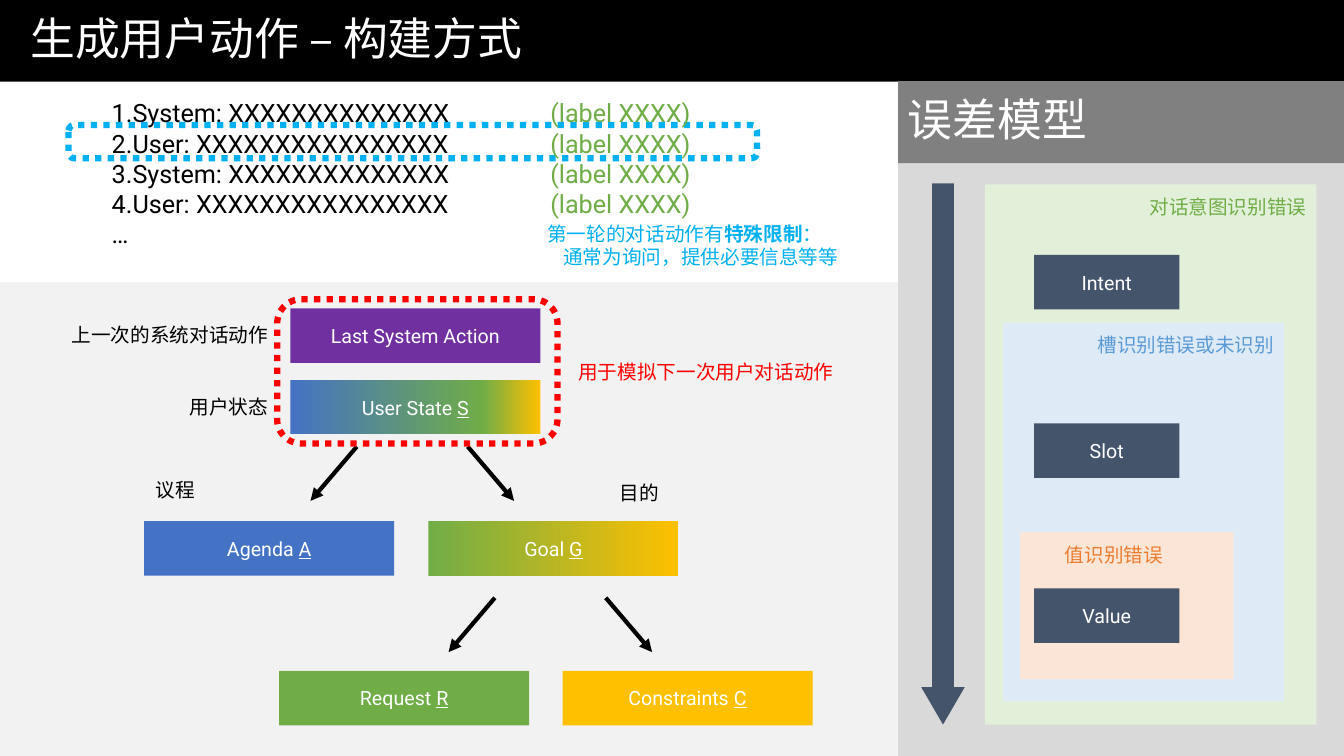
from dataclasses import dataclass

from lxml import etree
from pptx import Presentation
from pptx.dml.color import RGBColor
from pptx.enum.dml import MSO_LINE
from pptx.enum.shapes import MSO_CONNECTOR, MSO_SHAPE
from pptx.enum.text import MSO_ANCHOR, PP_ALIGN
from pptx.oxml.ns import qn
from pptx.util import Pt

RECTANGLE, ROUNDED = MSO_SHAPE.RECTANGLE, MSO_SHAPE.ROUNDED_RECTANGLE
DOWN_ARROW, STRAIGHT = MSO_SHAPE.DOWN_ARROW, MSO_CONNECTOR.STRAIGHT
LEFT, CENTER, RIGHT = PP_ALIGN.LEFT, PP_ALIGN.CENTER, PP_ALIGN.RIGHT
TOP, MIDDLE = MSO_ANCHOR.TOP, MSO_ANCHOR.MIDDLE
DOTTED = MSO_LINE.ROUND_DOT


@dataclass(frozen=True)
class Theme:
    """Colours, fonts and type sizes of the deck."""
    black: str = "000000"
    white: str = "FFFFFF"
    heading_gray: str = "808080"
    panel_gray: str = "D9D9D9"
    tree_gray: str = "F2F2F2"
    slate: str = "44546A"
    blue: str = "4472C4"
    sky: str = "00B0F0"
    soft_blue: str = "5B9BD5"
    green: str = "70AD47"
    gold: str = "FFC000"
    orange: str = "ED7D31"
    purple: str = "7030A0"
    red: str = "FF0000"
    pale_green: str = "E2F0D9"
    pale_blue: str = "DEEBF7"
    pale_orange: str = "FBE5D6"
    latin: str = "Roboto"
    chinese: str = "Noto Sans CJK SC"
    heading: int = 32
    dialogue: int = 18
    body: int = 14


THEME = Theme()


def style_run(run, size, color, font):
    """Set size, colour and typeface, for Latin and Chinese text alike."""
    run.font.size = Pt(size)
    run.font.color.rgb = RGBColor.from_string(color)
    run.font.name = font
    etree.SubElement(run._r.get_or_add_rPr(), qn("a:ea")).set("typeface", font)


def write(shape, lines, size, color, font, align=LEFT, anchor=TOP):
    """Fill a shape with lines; a line is a string or a tuple of run texts."""
    frame = shape.text_frame
    frame.word_wrap = True
    frame.vertical_anchor = anchor
    for number, line in enumerate(lines):
        para = frame.add_paragraph() if number else frame.paragraphs[0]
        para.alignment = align
        for text in (line,) if isinstance(line, str) else line:
            para.add_run().text = text
        for run in para.runs:
            style_run(run, size, color, font)
    return frame


def add_label(page, box, lines, color=THEME.black, size=THEME.body,
              font=THEME.chinese, align=LEFT):
    """Add a text box and return its text frame."""
    shape = page.shapes.add_textbox(*map(Pt, box))
    return write(shape, lines, size, color, font, align)


def add_block(page, box, color, kind=RECTANGLE):
    """Add a shape without outline; a list of (percent, colour) is a gradient."""
    shape = page.shapes.add_shape(kind, *map(Pt, box))
    shape.shadow.inherit = False
    shape.line.fill.background()
    if isinstance(color, str):
        shape.fill.solid()
        shape.fill.fore_color.rgb = RGBColor.from_string(color)
        return shape
    shape.fill.gradient()
    shape.fill.gradient_angle = 0
    stops = shape._element.spPr.find(qn("a:gradFill")).find(qn("a:gsLst"))
    for stop in list(stops):
        stops.remove(stop)
    for percent, stop_color in color:
        stop = etree.SubElement(stops, qn("a:gs"), pos=str(percent * 1000))
        etree.SubElement(stop, qn("a:srgbClr"), val=stop_color)
    return shape


def add_node(page, box, color, text):
    """Add a filled box with centred white text, its second run underlined."""
    frame = write(add_block(page, box, color), [text], THEME.body, THEME.white,
                  THEME.latin, CENTER, MIDDLE)
    for run in frame.paragraphs[0].runs[1:]:
        run.font.underline = True


def add_dotted_frame(page, box, color):
    """Add an unfilled rounded frame with a dotted outline."""
    shape = page.shapes.add_shape(ROUNDED, *map(Pt, box))
    shape.shadow.inherit = False
    shape.fill.background()
    shape.line.color.rgb = RGBColor.from_string(color)
    shape.line.width = Pt(4.5)
    shape.line.dash_style = DOTTED


def add_arrow(page, start, end):
    """Add a black straight arrow between two points."""
    arrow = page.shapes.add_connector(STRAIGHT, *map(Pt, start + end))
    arrow.line.color.rgb = RGBColor.from_string(THEME.black)
    arrow.line.width = Pt(3)
    etree.SubElement(arrow.line._get_or_add_ln(), qn("a:tailEnd"), type="triangle")
    etree.SubElement(arrow._element.spPr, qn("a:effectLst"))


def add_heading(page, box, text, color, margin):
    """Add a filled band with a large heading."""
    band = add_block(page, box, color)
    frame = write(band, [text], THEME.heading, THEME.white, THEME.chinese, anchor=MIDDLE)
    frame.margin_left = Pt(margin)
    frame.paragraphs[0].line_spacing = 0.9


def build_dialogue(page, box):
    """Place the sample dialogue, its labels and the first-round note."""
    left, top, width, height = box
    turns = ["1.System: " + "X" * 14, "2.User: " + "X" * 16,
             "3.System: " + "X" * 14, "4.User: " + "X" * 16]
    add_label(page, (left + 72.7, top + 8, 267, 117), turns + ["…"],
              size=THEME.dialogue, font=THEME.latin)
    add_dotted_frame(page, (left + 49, top + 31, 491.8, 23.8), THEME.sky)
    add_label(page, (left + 386, top + 8, 122, 94), ["(label XXXX)"] * len(turns),
              THEME.green, THEME.dialogue, THEME.latin)
    note = add_label(page, (left + 383.8, top + 96.5, 259, 41),
                     [("第一轮的对话动作有", "特殊限制", "："),
                      "通常为询问，提供必要信息等等"], THEME.sky)
    first, second = note.paragraphs
    first.runs[1].font.bold = True
    second._p.get_or_add_pPr().set("marL", str(Pt(11.5)))


def build_state_tree(page, box):
    """Place the tree of user state, agenda and goal."""
    left, top, width, height = box
    add_block(page, box, THEME.tree_gray)
    goal_stops = [(0, THEME.green), (100, THEME.gold)]
    state_stops = [(0, THEME.blue), (77, THEME.green), (100, THEME.gold)]
    nodes = [(207.4, 18.7, THEME.purple, "Last System Action"),
             (207.4, 69.8, state_stops, ("User State ", "S")),
             (103, 170.6, THEME.blue, ("Agenda ", "A")),
             (306, 170.6, goal_stops, ("Goal ", "G")),
             (199.4, 277.6, THEME.green, ("Request ", "R")),
             (401.8, 277.6, THEME.gold, ("Constraints ", "C"))]
    for x, y, color, text in nodes:
        add_node(page, (left + x, top + y, 178.6, 39), color, text)

    for center, y in ((294.5, 117.4), (393.1, 225.4)):
        for side in (-1, 1):
            add_arrow(page, (left + center + side * 39.6, top + y),
                      (left + center + side * 72.7, top + y + 38.8))

    labels = [(32.4, 25.2, 166.3, "上一次的系统对话动作", THEME.black, RIGHT),
              (32.4, 77, 166.3, "用户状态", THEME.black, RIGHT),
              (36, 136, 178.6, "议程", THEME.black, CENTER),
              (367.2, 138.2, 178.6, "目的", THEME.black, CENTER),
              (406, 51.8, 200, "用于模拟下一次用户对话动作", THEME.red, LEFT)]
    for x, y, label_width, text, color, align in labels:
        add_label(page, (left + x, top + y, label_width, 24.5), [text], color, align=align)
    add_dotted_frame(page, (left + 198, top + 12.2, 200.2, 103), THEME.red)


def build_error_model(page, box):
    """Place the nested error zones beside a downward arrow."""
    left, top, width, height = box
    add_block(page, box, THEME.panel_gray)
    add_heading(page, (left, top, width, 58.3), "误差模型", THEME.heading_gray, 7.2)
    zones = [((62, 73.4, 236.9, 386), THEME.pale_green, "对话意图识别错误",
              THEME.green, 0, "Intent", 123.8),
             ((74.9, 172.1, 200.9, 270.7), THEME.pale_blue, "槽识别错误或未识别",
              THEME.soft_blue, 0, "Slot", 244.1),
             ((87.1, 321.8, 152.6, 105.1), THEME.pale_orange, "值识别错误",
              THEME.orange, 43.2, "Value", 362)]
    for (x, y, wide, high), fill, error, color, inset, step, step_y in zones:
        add_block(page, (left + x, top + y, wide, high), fill)
        add_label(page, (left + x + wide - inset - 200, top + y + 4, 200, 24.5),
                  [error], color, align=RIGHT)
        add_node(page, (left + 97.2, top + step_y, 103.7, 39), THEME.slate, step)
    arrow = add_block(page, (left + 16.6, top + 72.7, 31, 386.6), THEME.slate, DOWN_ARROW)
    arrow.adjustments[0] = 0.5
    arrow.adjustments[1] = 0.86


def main():
    """Build the deck and save it."""
    deck = Presentation()
    deck.slide_width, deck.slide_height = Pt(960), Pt(540)
    page = deck.slides.add_slide(deck.slide_layouts[6])
    build_state_tree(page, (0, 201.6, 960, 338.4))
    add_heading(page, (0, 0, 960, 58.3), "生成用户动作 – 构建方式", THEME.black, 21.6)
    build_dialogue(page, (0, 58.3, 641.5, 143.3))
    build_error_model(page, (641.5, 58.3, 318.5, 481.7))
    deck.save("out.pptx")


main()
